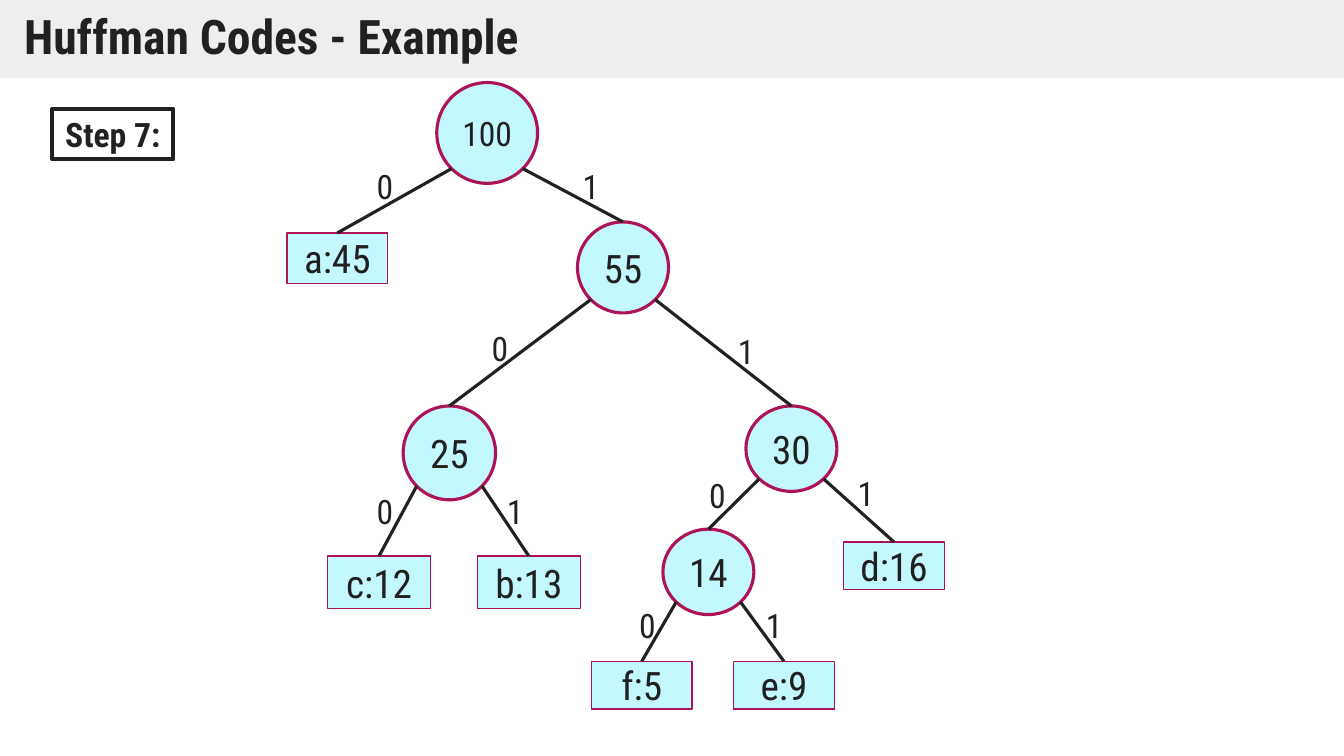
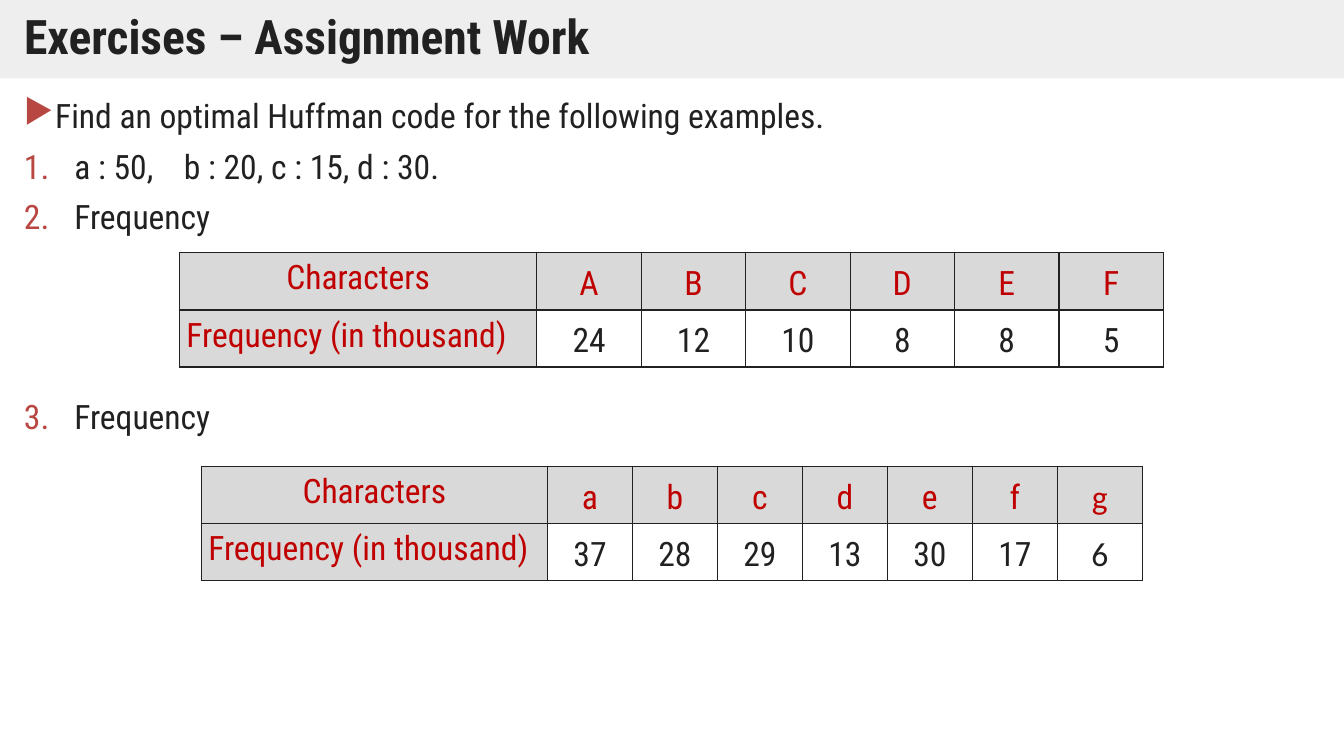
import dataclasses
import math

import lxml.etree
import pptx
import pptx.dml.color
import pptx.enum.shapes
import pptx.enum.text
import pptx.oxml.ns
import pptx.util

Pt = pptx.util.Pt
RGB = pptx.dml.color.RGBColor.from_string
ALIGN = pptx.enum.text.PP_ALIGN
ANCHOR = pptx.enum.text.MSO_ANCHOR
SHAPE = pptx.enum.shapes.MSO_SHAPE
qn = pptx.oxml.ns.qn


@dataclasses.dataclass(frozen=True)
class Theme:
    font: str = "Roboto Condensed"
    fallback_font: str = "Calibri"
    ink: str = "212121"
    band: str = "DFDFDF"
    node_fill: str = "C3F8FF"
    node_line: str = "AD1457"
    bullet: str = "B84742"
    header_text: str = "C00000"
    header_fill: str = "D9D9D9"
    title_size: float = 34
    node_size: float = 28
    body_size: float = 24


theme = Theme()


def style(paragraph, size, color=theme.ink, font=theme.font, bold=False,
          alignment=ALIGN.LEFT, line_spacing=None):
    paragraph.alignment = alignment
    if line_spacing:
        paragraph.line_spacing = line_spacing
    for run in paragraph.runs:
        run.font.name = font
        run.font.size = Pt(size)
        run.font.bold = bold
        run.font.color.rgb = RGB(color)


def add_box(slide, kind, frame, text, fill=None, line=None, line_width=1, **text_style):
    shape = slide.shapes.add_shape(kind, *[Pt(length) for length in frame])
    shape.shadow.inherit = False
    if fill:
        shape.fill.solid()
        shape.fill.fore_color.rgb = RGB(fill)
    else:
        shape.fill.background()
    if line:
        shape.line.color.rgb = RGB(line)
        shape.line.width = Pt(line_width)
    else:
        shape.line.fill.background()
    text_frame = shape.text_frame
    text_frame.word_wrap = True
    text_frame.vertical_anchor = ANCHOR.MIDDLE
    text_frame.margin_left = text_frame.margin_right = 0
    text_frame.text = text
    style(text_frame.paragraphs[0], **text_style)
    return shape


presentation = pptx.Presentation()
presentation.slide_width = Pt(960)
presentation.slide_height = Pt(540)

slides = []
for title in ("Huffman Codes - Example", "Exercises – Assignment Work"):
    slide = presentation.slides.add_slide(presentation.slide_layouts[6])
    band = add_box(slide, SHAPE.RECTANGLE, (0, 0, 960, 56), title, fill=theme.band,
                   size=theme.title_size, bold=True, line_spacing=0.9)
    band.text_frame.margin_left = band.text_frame.margin_right = Pt(17.3)
    band.text_frame.margin_top = band.text_frame.margin_bottom = Pt(8.6)
    band_color = band._element.spPr.find(qn("a:solidFill"))[0]
    lxml.etree.SubElement(band_color, qn("a:alpha"), val="50000")
    slides.append(slide)
tree_slide, exercise_slide = slides

add_box(tree_slide, SHAPE.RECTANGLE, (37.4, 77.8, 86.4, 36), "Step 7:",
        line=theme.ink, line_width=3, size=theme.body_size, bold=True,
        alignment=ALIGN.CENTER)

node_frames = {
    "100": (312, 59, 72, 72),
    "55": (412.5, 158.5, 65, 65),
    "25": (288, 290, 66, 67),
    "30": (532.8, 290, 65, 61),
    "14": (473.5, 378, 65, 61),
    "a:45": (205, 166.4, 72, 36),
    "c:12": (234, 397.2, 73.5, 37.5),
    "b:13": (341, 397.2, 73.5, 37.5),
    "d:16": (602.6, 387.2, 72, 34),
    "f:5": (422.4, 472.4, 72, 34),
    "e:9": (524, 472.4, 72, 34),
}
nodes = {}
for label, frame in node_frames.items():
    is_leaf = ":" in label
    nodes[label] = add_box(
        tree_slide, SHAPE.RECTANGLE if is_leaf else SHAPE.OVAL, frame, label,
        fill=theme.node_fill, line=theme.node_line, line_width=1 if is_leaf else 2.25,
        size=theme.body_size if label == "100" else theme.node_size,
        alignment=ALIGN.CENTER)

branches = {
    "100": (("a:45", 262, 115), ("55", 409, 115)),
    "55": (("25", 344, 230.5), ("30", 520, 232.5)),
    "25": (("c:12", 262, 347), ("b:13", 355, 347)),
    "30": (("14", 499.5, 335.5), ("d:16", 605.5, 334)),
    "14": (("f:5", 449.5, 428.5), ("e:9", 540, 428.5)),
}
for parent, children in branches.items():
    left, top, width, height = node_frames[parent]
    for bit, (child, label_left, label_top) in enumerate(children):
        side = 2 * bit - 1
        start_x = Pt(left + width / 2 * (1 + side * math.sqrt(0.5)))
        start_y = Pt(top + height / 2 * (1 + math.sqrt(0.5)))
        edge = tree_slide.shapes.add_connector(
            pptx.enum.shapes.MSO_CONNECTOR.STRAIGHT, start_x, start_y, start_x, start_y)
        edge.begin_connect(nodes[parent], 3)
        edge.end_connect(nodes[child], 0)
        start_site = next(edge._element.iter(qn("a:stCxn")))
        start_site.set("idx", str(3 + 2 * bit))
        edge.begin_x, edge.begin_y = start_x, start_y
        edge.line.color.rgb = RGB(theme.ink)
        edge.line.width = Pt(2.25)
        lxml.etree.SubElement(edge._element.spPr, qn("a:effectLst"))

        bit_label = tree_slide.shapes.add_textbox(Pt(label_left), Pt(label_top), Pt(29), Pt(36))
        bit_label.text_frame.word_wrap = True
        bit_label.text_frame.text = str(bit)
        style(bit_label.text_frame.paragraphs[0], theme.body_size)

body = exercise_slide.shapes.add_textbox(Pt(10), Pt(67.7), Pt(940), Pt(440))
body.text_frame.word_wrap = True
exercises = (
    (("Find an optimal Huffman code for the following examples.",), 21, 0),
    (("a : 50,", " ", "b : 20, c : 15, d : 30."), 36, 10),
    (("Frequency",), 36, 10),
    (("Frequency",), 36, 117),
)
for index, (pieces, indent, space_before) in enumerate(exercises):
    paragraph = body.text_frame.paragraphs[0] if index == 0 else body.text_frame.add_paragraph()
    properties = paragraph._p.get_or_add_pPr()
    properties.set("marL", str(Pt(indent)))
    properties.set("indent", str(-Pt(indent)))
    bullet_color = lxml.etree.SubElement(properties, qn("a:buClr"))
    lxml.etree.SubElement(bullet_color, qn("a:srgbClr"), val=theme.bullet)
    if index == 0:
        lxml.etree.SubElement(properties, qn("a:buChar"), char="▶")
    else:
        lxml.etree.SubElement(properties, qn("a:buFont"), typeface=theme.font)
        lxml.etree.SubElement(properties, qn("a:buAutoNum"), type="arabicPeriod")
    for piece in pieces:
        run = paragraph.add_run()
        run.text = piece
        if piece == " ":
            run._r.get_or_add_rPr().set("spc", "1620")
    paragraph.space_before = Pt(space_before)
    style(paragraph, theme.body_size, alignment=ALIGN.JUSTIFY, line_spacing=0.9)

frequency_tables = (
    (128.2, 180.6, 255.3, 74.6, "ABCDEF", (24, 12, 10, 8, 8, 5), theme.font),
    (143.8, 333.2, 247.3, 60.7, "abcdefg", (37, 28, 29, 13, 30, 17, 6), theme.fallback_font),
)
row_height = 40.8
for left, top, label_width, value_width, characters, counts, last_font in frequency_tables:
    rows = (("Characters", *characters), ("Frequency (in thousand)", *counts))
    last_column = len(characters)
    table = exercise_slide.shapes.add_table(
        2, last_column + 1, Pt(left), Pt(top),
        Pt(label_width + value_width * last_column), Pt(2 * row_height)).table
    table.first_row = table.horz_banding = False
    for column_index, column in enumerate(table.columns):
        column.width = Pt(value_width if column_index else label_width)
    for row_index, values in enumerate(rows):
        table.rows[row_index].height = Pt(row_height)
        for column_index, value in enumerate(values):
            cell = table.cell(row_index, column_index)
            cell.margin_left = cell.margin_right = Pt(5)
            cell.margin_top = cell.margin_bottom = 0
            cell.vertical_anchor = ANCHOR.MIDDLE if column_index else ANCHOR.TOP
            cell_properties = cell._tc.get_or_add_tcPr()
            for border in ("a:lnL", "a:lnR", "a:lnT", "a:lnB"):
                border_line = lxml.etree.SubElement(cell_properties, qn(border), w=str(Pt(1)))
                border_fill = lxml.etree.SubElement(border_line, qn("a:solidFill"))
                lxml.etree.SubElement(border_fill, qn("a:srgbClr"), val=theme.ink)
            is_header = row_index == 0 or column_index == 0
            if is_header:
                cell.fill.solid()
                cell.fill.fore_color.rgb = RGB(theme.header_fill)
            else:
                cell.fill.background()
            cell.text_frame.text = str(value)
            style(cell.text_frame.paragraphs[0], theme.body_size,
                  color=theme.header_text if is_header else theme.ink,
                  font=last_font if column_index == last_column else theme.font,
                  alignment=ALIGN.LEFT if (row_index, column_index) == (1, 0) else ALIGN.CENTER,
                  line_spacing=1.15)

presentation.save("out.pptx")
